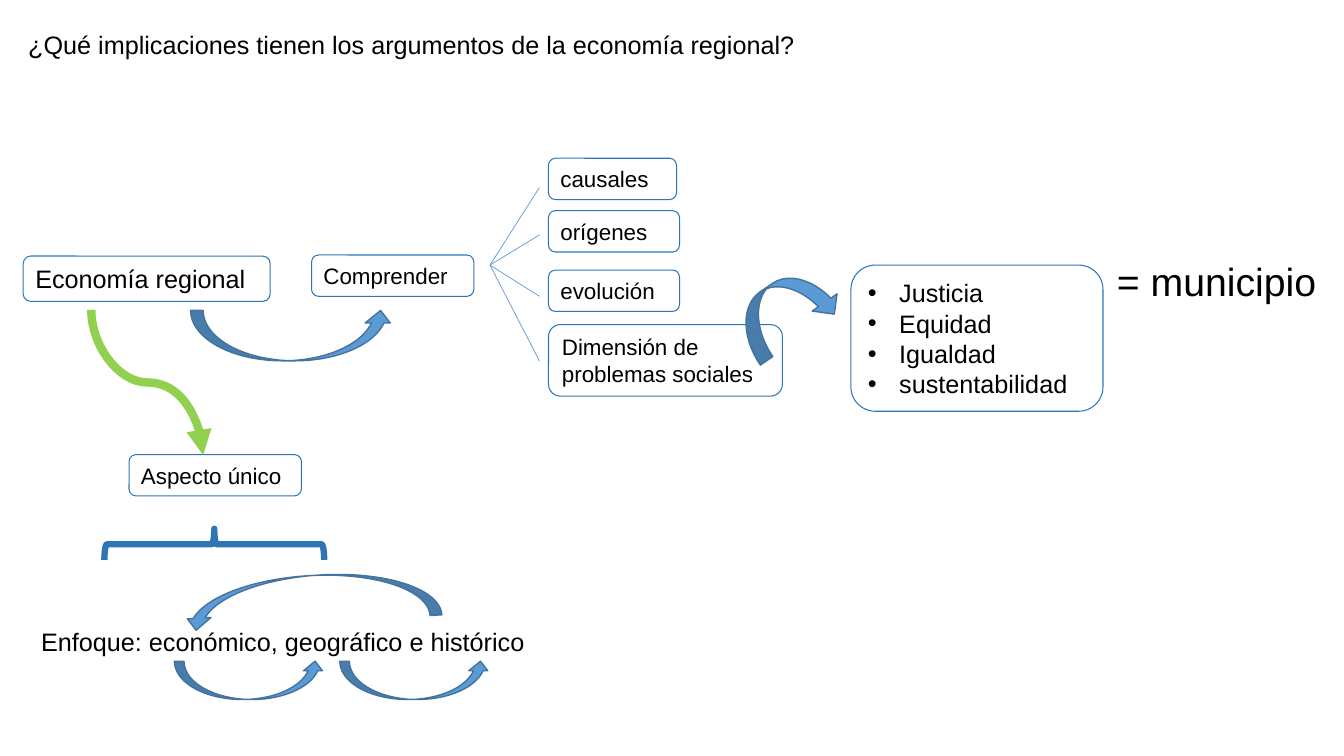
"""Build the slide on the implications of regional economics arguments."""
from lxml import etree
from pptx import Presentation
from pptx.dml.color import RGBColor
from pptx.enum.shapes import MSO_CONNECTOR, MSO_SHAPE
from pptx.enum.text import MSO_ANCHOR, MSO_AUTO_SIZE, PP_ALIGN
from pptx.oxml.ns import qn
from pptx.util import Inches, Pt

ROUNDED, BRACE = MSO_SHAPE.ROUNDED_RECTANGLE, MSO_SHAPE.LEFT_BRACE
ARROW_UP, ARROW_DOWN = MSO_SHAPE.CURVED_UP_ARROW, MSO_SHAPE.CURVED_DOWN_ARROW
STRAIGHT, CURVE = MSO_CONNECTOR.STRAIGHT, MSO_CONNECTOR.CURVE
MIDDLE, LEFT, FIXED = MSO_ANCHOR.MIDDLE, PP_ALIGN.LEFT, MSO_AUTO_SIZE.NONE

COLOURS = {name: RGBColor.from_string(value) for name, value in {
    "text": "000000", "border": "2E75B6", "arrow": "5B9BD5",
    "arrow_edge": "43739E", "green": "92D050"}.items()}
FONT = "Arial"


def write(shape, lines, size, wrap=True):
    """Fill a shape with left-aligned lines of text."""
    frame = shape.text_frame
    frame.text = "\n".join(lines)
    frame.word_wrap = wrap
    frame.auto_size = FIXED
    frame.vertical_anchor = MIDDLE
    for para in frame.paragraphs:
        para.alignment = LEFT
        for span in para.runs:
            span.font.name = FONT
            span.font.size = Pt(size)
            span.font.color.rgb = COLOURS["text"]


def connect(kind, start, end, colour, width):
    """Draw a connector without a shadow."""
    line = page.shapes.add_connector(kind, *map(Inches, start + end))
    line.line.color.rgb = COLOURS[colour]
    line.line.width = Pt(width)
    etree.SubElement(line._element.spPr, qn("a:effectLst"))
    return line


deck = Presentation()
deck.slide_width, deck.slide_height = Inches(13.33), Inches(7.5)
page = deck.slides.add_slide(deck.slide_layouts[5])

title = page.shapes.title
title.left, title.top, title.width, title.height = map(Inches, (0.18, 0.24, 7.87, 0.4))
write(title, ["¿Qué implicaciones tienen los argumentos de la economía regional?"], 18, False)

values = ["Justicia", "Equidad", "Igualdad", "sustentabilidad"]
causes_left, row_height = 5.44, 0.41
concepts = [
    (["Economía regional"], 18, 0.23, 2.54, 2.45, 0.45),
    (["Comprender"], 16, 3.09, 2.53, 1.61, row_height),
    (["causales"], 16, causes_left, 1.57, 1.27, row_height),
    (["orígenes"], 16, causes_left, 2.09, 1.3, row_height),
    (["evolución"], 16, causes_left, 2.68, 1.3, row_height),
    (["Dimensión de problemas sociales"], 16, causes_left, 3.22, 2.32, 0.71),
    (values, 18, 8.44, 2.63, 2.5, 1.45),
    (["Aspecto único"], 16, 1.28, 4.51, 1.71, row_height),
]
for lines, size, *place in concepts:
    box = page.shapes.add_shape(ROUNDED, *map(Inches, place))
    box.shadow.inherit = False
    box.fill.background()
    box.line.color.rgb = COLOURS["border"]
    box.line.width = Pt(0.75)
    write(box, lines, size)
    if lines is values:
        for para in box.text_frame.paragraphs:
            props = para._p.get_or_add_pPr()
            props.set("marL", str(Inches(0.31)))
            props.set("indent", str(-Inches(0.31)))
            etree.SubElement(props, qn("a:buFont")).set("typeface", FONT)
            etree.SubElement(props, qn("a:buChar")).set("char", "•")

labels = [
    ("= municipio", 28, 10.98, 2.5, 2.2, 0.57),
    ("Enfoque: económico, geográfico e histórico", 18, 0.31, 6.16, 5.04, 0.4),
]
for label, size, *place in labels:
    write(page.shapes.add_textbox(*map(Inches, place)), [label], size, False)

green_arrow = connect(CURVE, (2.18, 3.24), (0.74, 4.35), "green", 6)
green_arrow._element.spPr.find(qn("a:xfrm")).set("rot", str(270 * 60000))
etree.SubElement(green_arrow.line._get_or_add_ln(), qn("a:tailEnd")).set("type", "triangle")

brace = page.shapes.add_shape(BRACE, *map(Inches, (1.97, 4.31, 0.31, 2.18)))
brace.rotation = 90
brace.shadow.inherit = False
brace.fill.background()
brace.line.color.rgb = COLOURS["border"]
brace.line.width = Pt(4.5)

curved_arrows = [
    (ARROW_UP, 0, 1.89, 3.08, 2.01, 0.5),
    (ARROW_DOWN, 325.4, 7.28, 2.78, 1.04, 0.6),
    (ARROW_UP, 0, 1.73, 6.56, 1.49, 0.38),
    (ARROW_UP, 0, 3.37, 6.56, 1.49, 0.38),
    (ARROW_UP, 176.4, 1.81, 5.71, 2.56, 0.47),
]
for kind, angle, *place in curved_arrows:
    arrow = page.shapes.add_shape(kind, *map(Inches, place))
    arrow.rotation = angle
    arrow.shadow.inherit = False
    arrow.fill.solid()
    arrow.fill.fore_color.rgb = COLOURS["arrow"]
    arrow.line.color.rgb = COLOURS["arrow_edge"]
    arrow.line.width = Pt(1)

for branch_end in (1.86, 2.33, 2.94, 3.58):
    connect(STRAIGHT, (4.86, 2.63), (5.35, branch_end), "arrow", 0.5)

deck.save("out.pptx")
